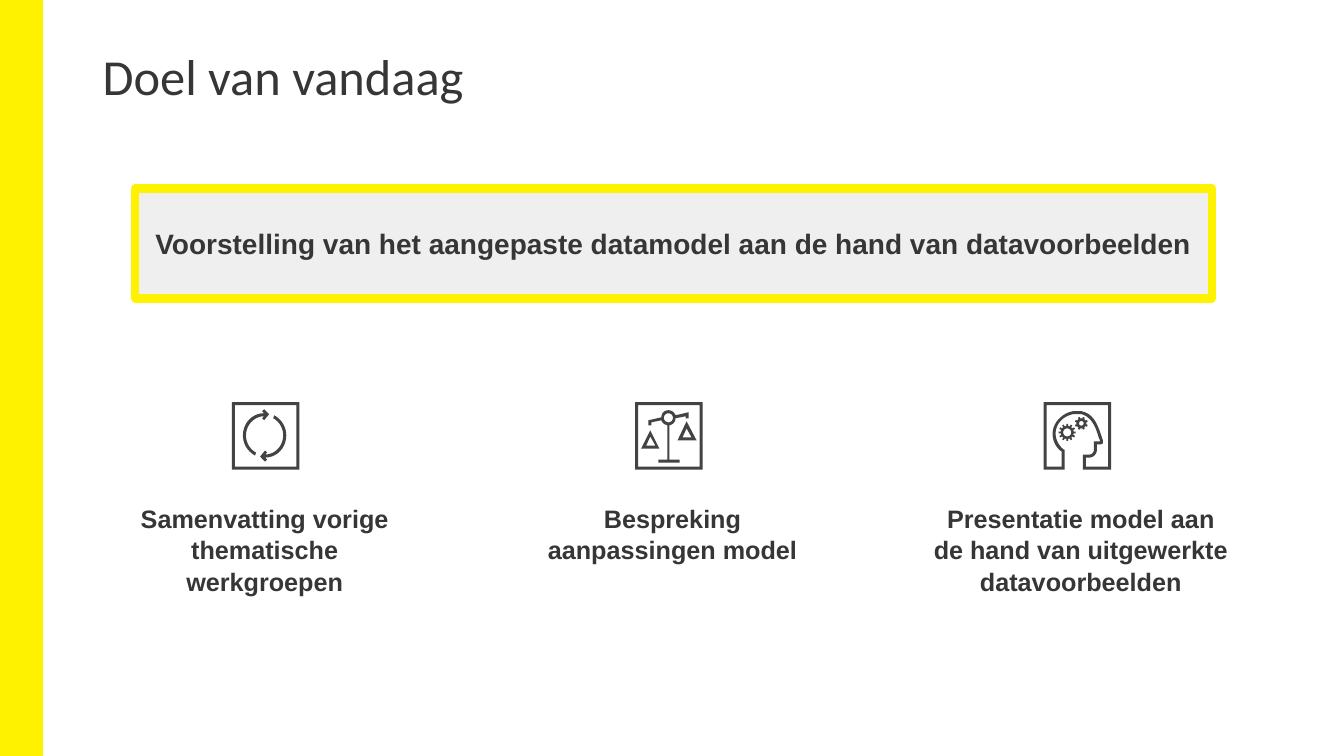
import math
from dataclasses import dataclass

import pptx
import pptx.dml.color
import pptx.enum.shapes
import pptx.enum.text
import pptx.util

PX = 9144  # EMU per px, 100 px to the inch
YELLOW, PALE, INK, ICON = "FFF200", "EFEFEF", "373636", "434343"
CENTER = pptx.enum.text.PP_ALIGN.CENTER
LEFT = pptx.enum.text.PP_ALIGN.LEFT
CURVE_STEPS = 10

# An outline holds points (x, y) and Bezier segments (x1, y1, x2, y2, x, y).
Outline = list[tuple[float, ...]]
Part = list[Outline]  # one filled shape: its outer outlines and holes


@dataclass
class Goal:
    icon_left: int
    icon: list[Part]
    label_left: int
    label_width: int
    label_height: int
    label: str


# Geometry helpers
def flatten(outline: Outline) -> Outline:
    points: Outline = []
    for step in outline:
        if len(step) == 2:
            points.append(step)
            continue
        controls = [points[-1], step[0:2], step[2:4], step[4:6]]
        for index in range(1, CURVE_STEPS + 1):
            t = index / CURVE_STEPS
            weights = [math.comb(3, k) * t**k * (1 - t) ** (3 - k) for k in range(4)]
            points.append(tuple(
                sum(w * c[axis] for w, c in zip(weights, controls)) for axis in (0, 1)))
    return points


def polar(x: float, y: float, radius: float, degrees: float) -> tuple[float, float]:
    angle = math.radians(degrees)
    return x + radius * math.cos(angle), y + radius * math.sin(angle)


def circle(x: float, y: float, radius: float) -> Outline:
    return [polar(x, y, radius, degrees) for degrees in range(0, 360, 10)]


def gear(x: float, y: float, tip: float, root: float, hole: float,
         teeth: int, turn: float) -> Part:
    pitch = 360 / teeth
    rim = [polar(x, y, radius, turn + pitch * (tooth + offset))
           for tooth in range(teeth)
           for radius, offset in ((root, -0.25), (tip, -0.2), (tip, 0.2), (root, 0.25))]
    return [rim, circle(x, y, hole)]


def square(start: int, end: int) -> Outline:
    return [(start, start), (start, end), (end, end), (end, start)]


# Icons, each on a field of 67 by 67 px
FRAME = [square(0, 67), square(3, 64)]

LEFT_ARROW: Outline = [
    (14, 33), (14, 23, 22, 14, 32, 14), (30, 16), (32, 18), (37, 12), (32, 7),
    (30, 9), (32, 11), (20, 11, 11, 21, 11, 33), (11, 42, 16, 49, 23, 53),
    (24, 50), (18, 47, 14, 40, 14, 33)]
RIGHT_ARROW = [(65 - x, 66 - y) for x, y in flatten(LEFT_ARROW)]
CYCLE = [FRAME, [LEFT_ARROW], [RIGHT_ARROW]]

BALANCE: Outline = [
    (16, 20), (26, 18), (27, 21, 29, 22, 32, 23), (32, 57), (23, 57), (23, 60),
    (44, 60), (44, 57), (34, 57), (34, 23), (38, 22, 40, 19, 40, 16), (50, 14),
    (50, 16), (53, 16), (53, 10), (40, 13), (39, 10, 36, 8, 33, 8),
    (29, 8, 26, 11, 26, 15), (13, 18), (13, 23), (16, 23)]
SCALES = [FRAME + [
    [(15, 28), (6, 46), (24, 46)], [(15, 34), (20, 43), (11, 43)],
    [(42, 38), (61, 38), (51, 19)], [(47, 35), (51, 26), (56, 35)],
    BALANCE, circle(33, 15.5, 4.5)]]

HEAD_OUTER: Outline = [
    (0, 0), (0, 67), (21, 67), (21, 47), (20, 47), (15, 43, 12, 37, 12, 31),
    (12, 22, 19, 14, 29, 12), (32, 12, 35, 12, 38, 12), (48, 15, 52, 25, 55, 36),
    (56, 37, 56, 38, 56, 39), (50, 39), (50, 47), (50, 50, 48, 52, 45, 52),
    (39, 52), (39, 67), (67, 67), (67, 0)]
HEAD_INNER: Outline = [
    (64, 64), (42, 64), (42, 55), (45, 55), (50, 55, 53, 51, 53, 47), (53, 42),
    (57, 42), (57, 42, 58, 41, 59, 41), (59, 40, 59, 39, 59, 39),
    (59, 37, 58, 36, 58, 35), (54, 24, 51, 12, 38, 9), (35, 9, 32, 9, 29, 9),
    (18, 11, 9, 21, 9, 31), (9, 38, 12, 45, 18, 49), (18, 64), (3, 64), (3, 3), (64, 3)]
THINKING = [[HEAD_OUTER, HEAD_INNER],
            gear(23.5, 30, 8.5, 6.5, 4, 12, 0),
            gear(37.5, 21, 6.5, 5, 2.3, 8, 22.5)]

ICON_TOP, LABEL_TOP = 399, 493
GOALS = [
    Goal(230, CYCLE, 110, 305, 198, "Samenvatting vorige thematische werkgroepen"),
    Goal(630, SCALES, 510, 314, 198, "Bespreking aanpassingen model"),
    Goal(1035, THINKING, 915, 314, 101,
         "Presentatie model aan de hand van uitgewerkte datavoorbeelden"),
]


# Drawing functions
def color(value: str) -> pptx.dml.color.RGBColor:
    return pptx.dml.color.RGBColor.from_string(value)


def write(shape, text: str, font: str, size: int, bold: bool, align, spacing: float = 1.0) -> None:
    frame = shape.text_frame
    frame.word_wrap = True
    frame.text = text
    para = frame.paragraphs[0]
    para.alignment = align
    para.line_spacing = spacing
    span = para.runs[0]
    span.font.name = font
    span.font.size = pptx.util.Pt(size)
    span.font.bold = bold
    span.font.color.rgb = color(INK)


def add_box(page, left: int, top: int, width: int, height: int, fill: str, line_width: int):
    box = page.shapes.add_shape(pptx.enum.shapes.MSO_SHAPE.RECTANGLE,
                                left * PX, top * PX, width * PX, height * PX)
    box.shadow.inherit = False
    box.fill.solid()
    box.fill.fore_color.rgb = color(fill)
    box.line.color.rgb = color(YELLOW)
    box.line.width = pptx.util.Pt(line_width)
    return box


def add_text(page, left: int, top: int, width: int, height: int):
    return page.shapes.add_textbox(left * PX, top * PX, width * PX, height * PX)


def add_part(page, left: int, top: int, part: Part) -> None:
    builder = None
    for outline in part:
        points = [((left + x) * PX, (top + y) * PX) for x, y in flatten(outline)]
        if builder is None:
            builder = page.shapes.build_freeform(*points[0], scale=1.0)
        else:
            builder.move_to(*points[0])
        builder.add_line_segments(points[1:], close=True)
    shape = builder.convert_to_shape()
    shape.shadow.inherit = False
    shape.fill.solid()
    shape.fill.fore_color.rgb = color(ICON)
    shape.line.fill.background()


def main() -> None:
    deck = pptx.Presentation()
    deck.slide_width, deck.slide_height = 1333 * PX, 750 * PX
    page = deck.slides.add_slide(deck.slide_layouts[6])

    # Side bar and title
    add_box(page, 0, 0, 42, 750, YELLOW, 1)
    title = add_text(page, 92, 40, 1150, 108)
    write(title, "Doel van vandaag", "Calibri", 36, False, LEFT)

    # Main goal
    banner = add_box(page, 134, 187, 1068, 109, PALE, 6)
    banner.text_frame.vertical_anchor = pptx.enum.text.MSO_ANCHOR.MIDDLE
    write(banner, "Voorstelling van het aangepaste datamodel aan de hand van datavoorbeelden",
          "Arial", 20, True, CENTER)

    # Three goals with icon and label
    for goal in GOALS:
        for part in goal.icon:
            add_part(page, goal.icon_left, ICON_TOP, part)
        label = add_text(page, goal.label_left, LABEL_TOP, goal.label_width, goal.label_height)
        write(label, goal.label, "Arial", 18, True, CENTER, 1.04)

    deck.save("out.pptx")


if __name__ == "__main__":
    main()
